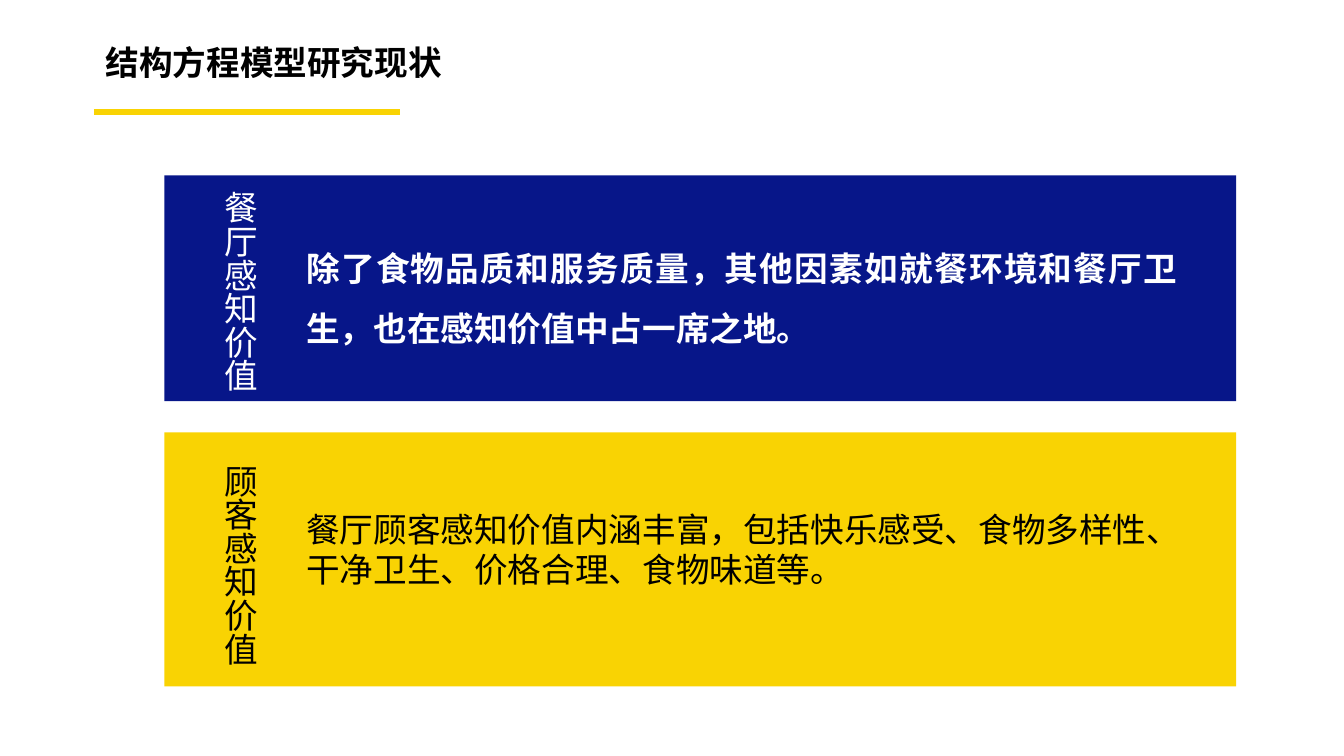
import pptx
import pptx.util
import pptx.dml.color
import pptx.enum.shapes
import pptx.enum.text
import pptx.oxml.ns
import lxml.etree

PX = 9144  # 100 px to the inch
FONT = "Noto Sans CJK SC"
BLUE, YELLOW, BLACK, WHITE = "071689", "F9D303", "000000", "FFFFFF"
qn = pptx.oxml.ns.qn


def rgb(value):
    return pptx.dml.color.RGBColor.from_string(value)


def add_text(box, text, color, bold=False, vertical=False):
    tb = slide.shapes.add_textbox(*[v * PX for v in box])
    tf = tb.text_frame
    tf.word_wrap = not vertical
    tf.auto_size = pptx.enum.text.MSO_AUTO_SIZE.SHAPE_TO_FIT_TEXT
    if vertical:
        tf._txBody.bodyPr.set("vert", "eaVert")
    p = tf.paragraphs[0]
    r = p.add_run()
    r.text = text
    r.font.size = pptx.util.Pt(24)
    r.font.bold = bold
    r.font.name = FONT
    r.font.color.rgb = rgb(color)
    ea = lxml.etree.SubElement(r._r.get_or_add_rPr(), qn("a:ea"))
    ea.set("typeface", FONT)
    return p


prs = pptx.Presentation()
prs.slide_width, prs.slide_height = 1333 * PX, 750 * PX
slide = prs.slides.add_slide(prs.slide_layouts[6])

# Title and its underline
line = slide.shapes.add_connector(
    pptx.enum.shapes.MSO_CONNECTOR.STRAIGHT, 93 * PX, 111 * PX, 397 * PX, 111 * PX)
line.line.color.rgb = rgb(YELLOW)
line.line.width = pptx.util.Pt(4.5)
lxml.etree.SubElement(line._element.spPr, qn("a:effectLst"))
add_text((95, 37, 398, 50), "结构方程模型研究现状", BLACK, bold=True)

# Panels: top, height, fill, text colour, label top, label, body box, body, bold
panels = [
    (174, 224, BLUE, WHITE, 180, "餐厅感知价值", (294, 221, 884, 131),
     "除了食物品质和服务质量，其他因素如就餐环境和餐厅卫生，也在感知价值中占一席之地。", True),
    (429, 252, YELLOW, BLACK, 451, "顾客感知价值", (294, 500, 864, 91),
     "餐厅顾客感知价值内涵丰富，包括快乐感受、食物多样性、干净卫生、价格合理、食物味道等。", False),
]
for top, height, fill, color, label_top, label, box, body, bold in panels:
    sp = slide.shapes.add_shape(
        pptx.enum.shapes.MSO_SHAPE.RECTANGLE, 163 * PX, top * PX, 1063 * PX, height * PX)
    sp.shadow.inherit = False
    sp.fill.solid()
    sp.fill.fore_color.rgb = rgb(fill)
    sp.line.fill.background()
    p = add_text(box, body, color, bold)
    if bold:
        p.alignment = pptx.enum.text.PP_ALIGN.JUSTIFY
        p.line_spacing = 1.5
    add_text((202, label_top, 61, 212), label, color, vertical=True)

prs.save("out.pptx")
